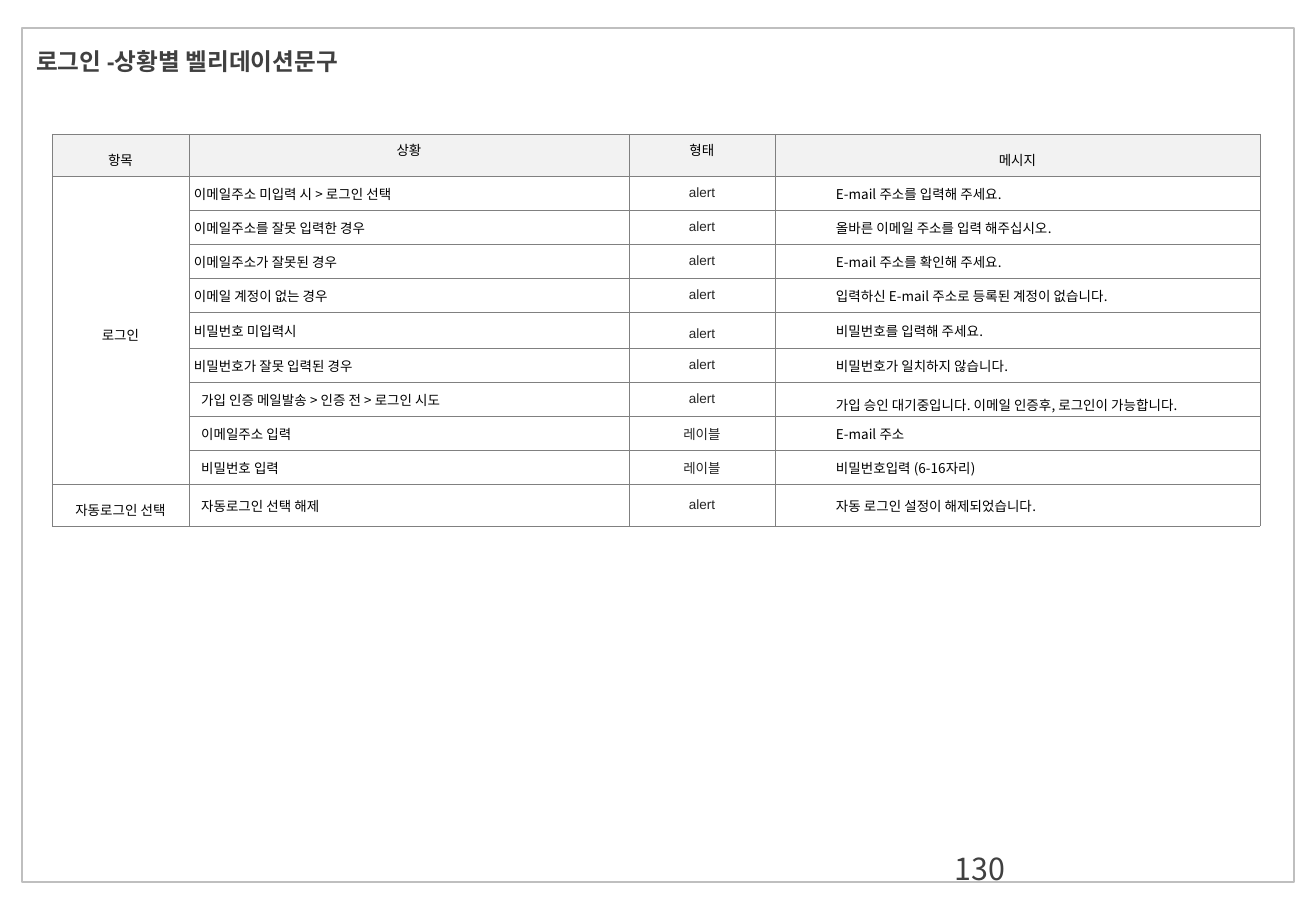
from lxml import etree
from pptx import Presentation
from pptx.dml.color import RGBColor
from pptx.enum.shapes import MSO_SHAPE
from pptx.enum.text import MSO_ANCHOR as ANCHOR, PP_ALIGN as ALIGN
from pptx.oxml.ns import qn
from pptx.util import Pt

TITLE = "로그인 -상황별 벨리데이션문구"
PAGE = "130"
HEADERS = ["항목", "상황", "형태", "메시지"]
ROWS = [
    ("로그인", "이메일주소 미입력 시 > 로그인 선택", "alert", "E-mail 주소를 입력해 주세요."),
    ("", "이메일주소를 잘못 입력한 경우", "alert", "올바른 이메일 주소를 입력 해주십시오."),
    ("", "이메일주소가 잘못된 경우", "alert", "E-mail 주소를 확인해 주세요."),
    ("", "이메일 계정이 없는 경우", "alert", "입력하신 E-mail 주소로 등록된 계정이 없습니다."),
    ("", "비밀번호 미입력시", "alert", "비밀번호를 입력해 주세요."),
    ("", "비밀번호가 잘못 입력된 경우", "alert", "비밀번호가 일치하지 않습니다."),
    ("", "가입 인증 메일발송 > 인증 전 > 로그인 시도", "alert",
     "가입 승인 대기중입니다. 이메일 인증후, 로그인이 가능합니다."),
    ("", "이메일주소 입력", "레이블", "E-mail 주소"),
    ("", "비밀번호 입력", "레이블", "비밀번호입력 (6-16자리)"),
    ("자동로그인 선택", "자동로그인 선택 해제", "alert", "자동 로그인 설정이 해제되었습니다."),
]
COL_WIDTHS = [137, 440, 146, 485]
TALL, SHORT = 42, 34
ROW_HEIGHTS = [TALL] + [SHORT] * 9 + [TALL]
LOGIN_ROWS = 9
TIGHT_ROWS = 6
LOOSE_CELLS = {(0, 0), (0, 3), (1, 0), (5, 2), (7, 3), (10, 0)}
NOTO = "Noto Sans CJK KR"


def px(n):
    return round(n * 914400 / 121.5)


def color(value):
    return RGBColor.from_string(value)


def write(tf, text, size=8, font=NOTO, fill="000000", bold=False, align=ALIGN.LEFT, spacing=None):
    p = tf.paragraphs[0]
    p.alignment = align
    p.line_spacing = spacing
    r = p.add_run()
    r.text = text
    r.font.size = Pt(size)
    r.font.name = font
    r.font.bold = bold
    r.font.color.rgb = color(fill)
    etree.SubElement(r.font._element, qn("a:ea"), typeface=NOTO)


def add_borders(cell, stroke="808080", width=0.25):
    tc_pr = cell._tc.get_or_add_tcPr()
    for i, side in enumerate(("a:lnL", "a:lnR", "a:lnT", "a:lnB")):
        ln = etree.Element(qn(side), w=str(Pt(width)))
        solid = etree.SubElement(ln, qn("a:solidFill"))
        etree.SubElement(solid, qn("a:srgbClr"), val=stroke)
        tc_pr.insert(i, ln)


def format_cell(cell, row, col, text):
    if row == 0:
        cell.fill.solid()
        cell.fill.fore_color.rgb = color("F2F2F2")
    else:
        cell.fill.background()
        cell.vertical_anchor = ANCHOR.MIDDLE
    add_borders(cell)
    if row and (col == 3 or col == 1 and row <= TIGHT_ROWS):
        cell.margin_left = px(61 if col == 3 else 5)
        cell.margin_right = cell.margin_top = px(1)
        cell.margin_bottom = 0
    kind = row > 0 and col == 2
    write(cell.text_frame, text,
          font="Arial" if kind else NOTO,
          fill="262626" if kind else "000000",
          align=ALIGN.CENTER if row == 0 or col in (0, 2) else ALIGN.LEFT,
          spacing=1.5 if (row, col) in LOOSE_CELLS else None)


def main():
    prs = Presentation()
    prs.slide_width, prs.slide_height = px(1316), px(911)
    s = prs.slides.add_slide(prs.slide_layouts[5])

    title = s.shapes.title
    title.left, title.top, title.width, title.height = px(24), px(29), px(550), px(64)
    title.text_frame.vertical_anchor = ANCHOR.MIDDLE
    write(title.text_frame, TITLE, size=14, font="Arial", fill="404040", bold=True)

    frame = s.shapes.add_shape(MSO_SHAPE.RECTANGLE, px(22), px(28), px(1272), px(854))
    frame.shadow.inherit = False
    frame.fill.background()
    frame.line.color.rgb = color("BFBFBF")
    frame.line.width = Pt(1)

    page = s.shapes.add_textbox(px(943), px(844), px(307), px(49))
    page.text_frame.word_wrap = True
    write(page.text_frame, PAGE, size=18, fill="404040")

    table = s.shapes.add_table(len(ROW_HEIGHTS), len(COL_WIDTHS), px(52), px(134),
                               px(sum(COL_WIDTHS)), px(sum(ROW_HEIGHTS))).table
    table.first_row = table.horz_banding = False
    for column, width in zip(table.columns, COL_WIDTHS):
        column.width = px(width)
    for row, height in zip(table.rows, ROW_HEIGHTS):
        row.height = px(height)
    for i, texts in enumerate([HEADERS] + ROWS):
        for j, text in enumerate(texts):
            format_cell(table.cell(i, j), i, j, text)
    table.cell(1, 0).merge(table.cell(LOGIN_ROWS, 0))

    prs.save("out.pptx")


if __name__ == "__main__":
    main()
